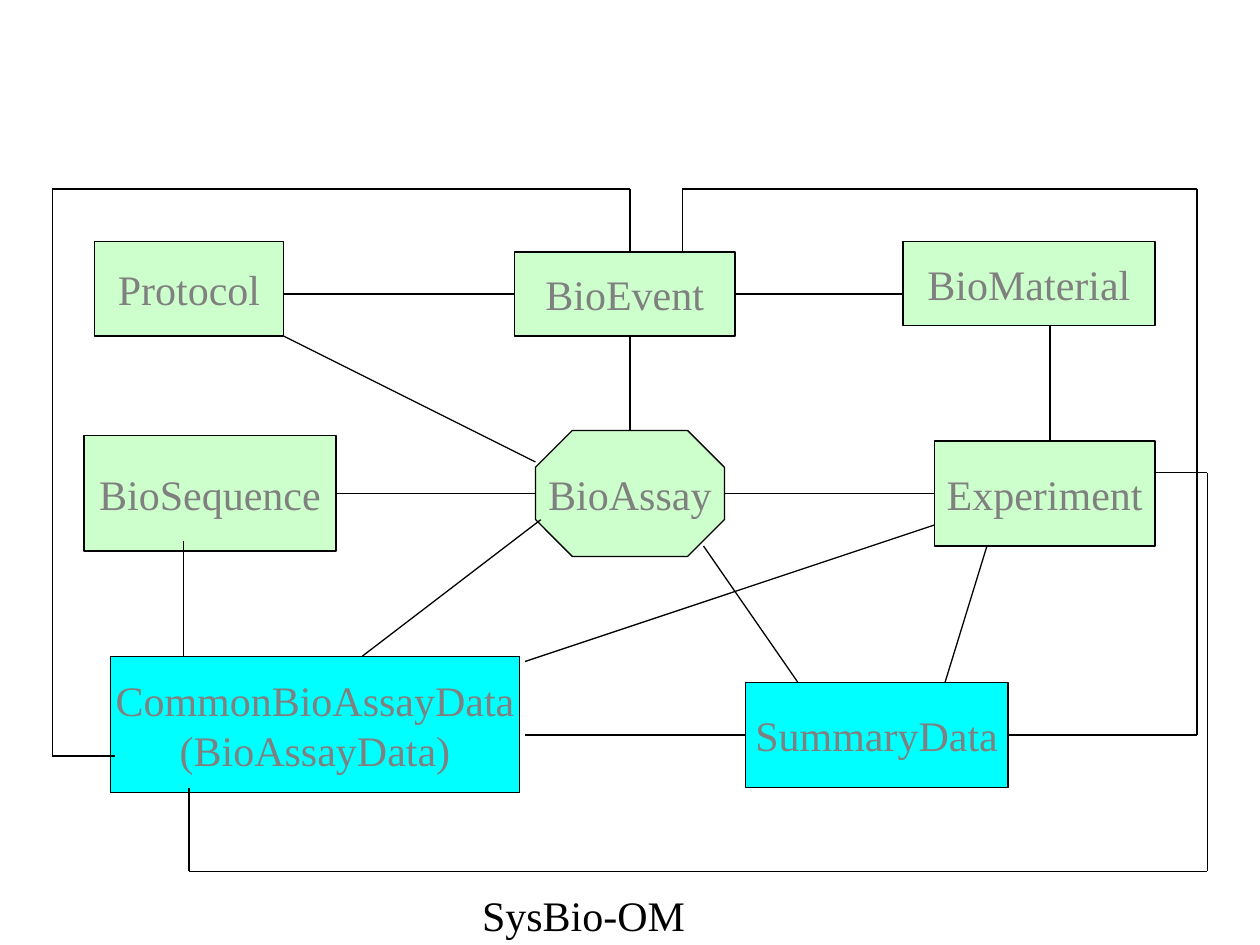
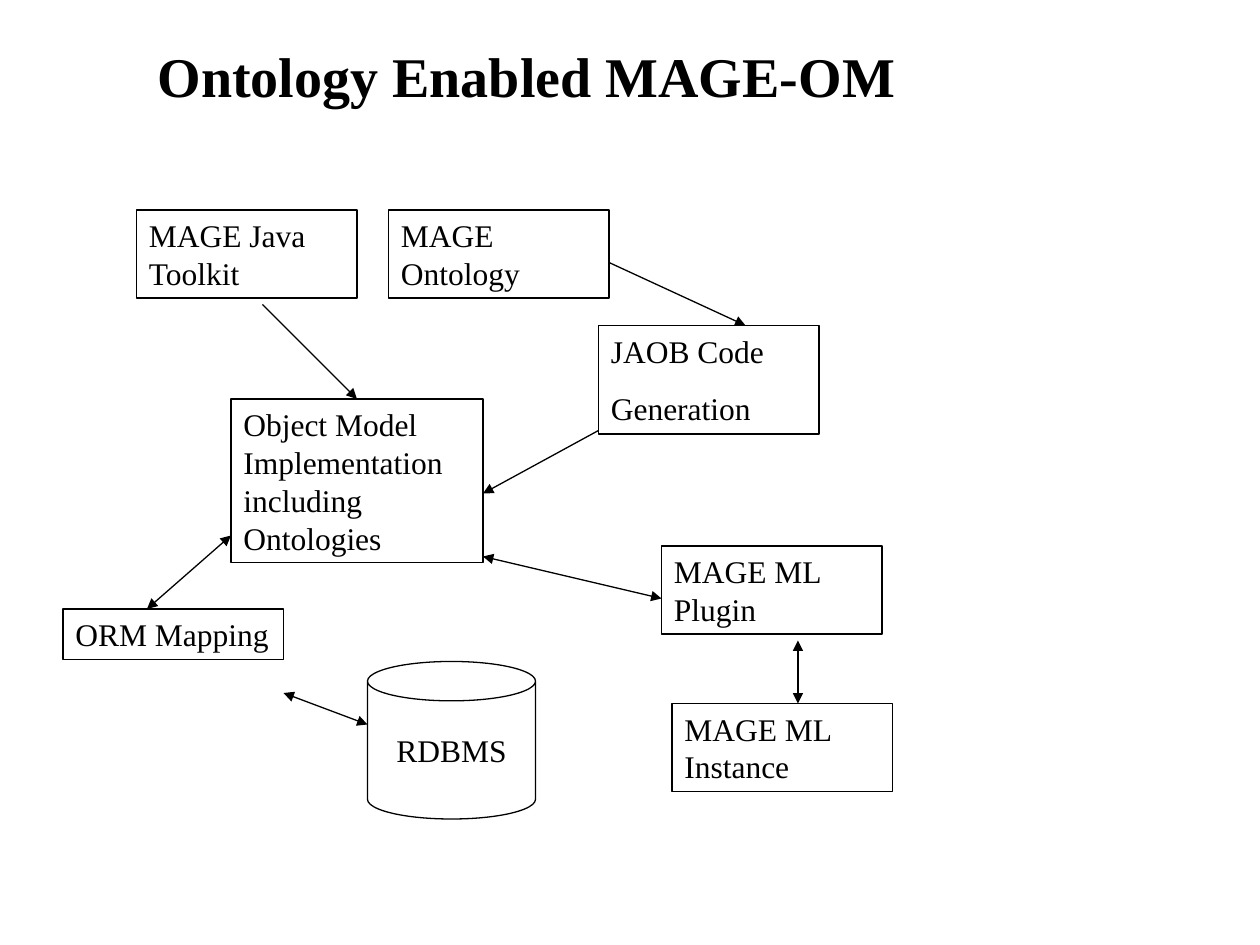
"""Build two slides of box-and-line diagrams about biology object models."""
from dataclasses import dataclass
from itertools import pairwise

import pptx
import pptx.dml.color
import pptx.enum.shapes
import pptx.enum.text
import pptx.oxml.ns
import pptx.presentation
import pptx.shapes.base
import pptx.slide
import pptx.util
from lxml import etree

Pt = pptx.util.Pt
Shape = pptx.enum.shapes.MSO_SHAPE
Align = pptx.enum.text.PP_ALIGN
Anchor = pptx.enum.text.MSO_ANCHOR

COLOURS = {"ink": "000000", "label": "808080", "core": "CCFFCC", "data": "00FFFF"}
FONT = "Times New Roman"
LINE_WIDTH = 0.75
FRAME = {
    "margin_left": Pt(7.2),
    "margin_right": Pt(7.2),
    "margin_top": Pt(3.6),
    "margin_bottom": Pt(3.6),
}
CENTRED = {"word_wrap": False, "vertical_anchor": Anchor.MIDDLE}
WRAPPED = {"word_wrap": True, "vertical_anchor": Anchor.TOP}
FITTED = {
    "word_wrap": False,
    "vertical_anchor": Anchor.TOP,
    "margin_left": Pt(0),
    "auto_size": pptx.enum.text.MSO_AUTO_SIZE.SHAPE_TO_FIT_TEXT,
}


@dataclass(frozen=True)
class TextStyle:
    size: float
    colour: str
    align: Align
    frame: dict
    bold: bool = False
    gap: float = 0


ENTITY_STYLE = TextStyle(24, "label", Align.CENTER, CENTRED)
CAPTION_STYLE = TextStyle(24, "ink", Align.CENTER, FITTED)
TITLE_STYLE = TextStyle(32, "ink", Align.CENTER,
                        {"word_wrap": True, "vertical_anchor": Anchor.BOTTOM}, bold=True)
STEP_STYLE = TextStyle(18, "ink", Align.LEFT, WRAPPED, gap=11.2)
STORE_STYLE = TextStyle(18, "ink", Align.CENTER, CENTRED)


@dataclass(frozen=True)
class Node:
    text: str
    left: float
    top: float
    width: float
    height: float
    style: TextStyle
    fill: str | None = None
    kind: Shape = Shape.RECTANGLE


@dataclass(frozen=True)
class Wire:
    points: tuple
    head: bool = False
    tail: bool = False


def entity(text: str, left: float, top: float, width: float, height: float,
           fill: str = "core", kind: Shape = Shape.RECTANGLE) -> Node:
    return Node(text, left, top, width, height, ENTITY_STYLE, fill, kind)


def step(text: str, left: float, top: float, width: float = 126, height: float = 50.4) -> Node:
    return Node(text, left, top, width, height, STEP_STYLE)


ENTITIES = [
    entity("BioAssay", 306, 246, 108, 72, kind=Shape.OCTAGON),
    entity("BioEvent", 294, 144, 126, 48),
    entity("Experiment", 534, 252, 126, 60),
    entity("BioSequence", 48, 249, 144, 66),
    entity("SummaryData", 426, 390, 150, 60, "data"),
    entity("BioMaterial", 516, 138, 144, 48),
    entity("Protocol", 54, 138, 108, 54),
    entity("CommonBioAssayData\n(BioAssayData)", 63, 375, 234, 78, "data"),
]
ASSOCIATIONS = [
    Wire(((66, 432), (30, 432), (30, 108), (360, 108), (360, 144))),
    Wire(((390, 144), (390, 108), (684, 108), (684, 420), (576, 420))),
    Wire(((108, 450), (108, 498), (690, 498), (690, 270), (660, 270))),
    Wire(((294, 168), (162, 168))),
    Wire(((420, 168), (516, 168))),
    Wire(((600, 186), (600, 252))),
    Wire(((105, 309), (105, 375))),
    Wire(((402, 312), (456, 390))),
    Wire(((306, 282), (192, 282))),
    Wire(((414, 282), (534, 282))),
    Wire(((534, 300), (300, 378))),
    Wire(((309, 297), (207, 375))),
    Wire(((564, 312), (540, 390))),
    Wire(((360, 192), (360, 246))),
    Wire(((162, 192), (306, 264))),
    Wire(((300, 420), (426, 420))),
]
CAPTION = Node("SysBio-OM", 272, 505, 130, 36, CAPTION_STYLE)

TITLE = Node("Ontology Enabled MAGE-OM", 42, 17.5, 518, 48, TITLE_STYLE)
STEPS = [
    step("MAGE Java Toolkit", 78, 120),
    step("MAGE Ontology", 222, 120),
    step("JAOB Code\nGeneration", 342, 186, height=62),
    step("Object Model Implementation including Ontologies", 132, 228, 144, 93.6),
    step("MAGE ML Plugin", 378, 312),
    step("MAGE ML Instance", 384, 402),
    step("ORM Mapping", 36, 348, height=28.8),
    Node("RDBMS", 210, 378, 96, 90, STORE_STYLE, kind=Shape.CAN),
]
FLOWS = [
    Wire(((150, 174), (204, 228)), tail=True),
    Wire(((348, 150), (426, 186)), tail=True),
    Wire(((342, 246), (276, 282)), tail=True),
    Wire(((276, 318), (378, 342)), head=True, tail=True),
    Wire(((456, 366), (456, 402)), head=True, tail=True),
    Wire(((84, 348), (132, 306)), head=True, tail=True),
    Wire(((162, 396), (210, 414)), head=True, tail=True),
]


def colour(name: str) -> pptx.dml.color.RGBColor:
    return pptx.dml.color.RGBColor.from_string(COLOURS[name])


def set_all(target: object, values: dict) -> None:
    for name, value in values.items():
        setattr(target, name, value)


def write_text(box: pptx.shapes.base.BaseShape, node: Node) -> None:
    style = node.style
    frame = box.text_frame
    set_all(frame, FRAME | style.frame)
    for index, line in enumerate(node.text.split("\n")):
        para = frame.add_paragraph() if index else frame.paragraphs[0]
        set_all(para, {"alignment": style.align, "space_before": Pt(style.gap if index else 0)})
        span = para.add_run()
        span.text = line
        set_all(span.font, {"name": FONT, "size": Pt(style.size), "bold": style.bold})
        span.font.color.rgb = colour(style.colour)


def draw_label(page: pptx.slide.Slide, node: Node) -> None:
    box = page.shapes.add_textbox(Pt(node.left), Pt(node.top), Pt(node.width), Pt(node.height))
    write_text(box, node)


def draw_node(page: pptx.slide.Slide, node: Node) -> None:
    box = page.shapes.add_shape(
        node.kind, Pt(node.left), Pt(node.top), Pt(node.width), Pt(node.height))
    box.shadow.inherit = False
    if node.fill:
        box.fill.solid()
        box.fill.fore_color.rgb = colour(node.fill)
    else:
        box.fill.background()
    box.line.color.rgb = colour("ink")
    box.line.width = Pt(LINE_WIDTH)
    write_text(box, node)


def draw_wire(page: pptx.slide.Slide, wire: Wire) -> None:
    qualify = pptx.oxml.ns.qn
    for start, end in pairwise(wire.points):
        link = page.shapes.add_connector(
            pptx.enum.shapes.MSO_CONNECTOR.STRAIGHT, *map(Pt, start + end))
        link.line.color.rgb = colour("ink")
        link.line.width = Pt(LINE_WIDTH)
        outline = link.line._get_or_add_ln()
        for tag, shown in (("a:headEnd", wire.head), ("a:tailEnd", wire.tail)):
            if shown:
                etree.SubElement(outline, qualify(tag), type="triangle")
        etree.SubElement(link._element.spPr, qualify("a:effectLst"))


def add_diagram(deck: pptx.presentation.Presentation, label: Node,
                nodes: list[Node], wires: list[Wire]) -> None:
    page = deck.slides.add_slide(deck.slide_layouts[6])
    draw_label(page, label)
    for node in nodes:
        draw_node(page, node)
    for wire in wires:
        draw_wire(page, wire)


def main() -> None:
    deck = pptx.Presentation()
    set_all(deck, {"slide_width": Pt(720), "slide_height": Pt(540)})
    add_diagram(deck, CAPTION, ENTITIES, ASSOCIATIONS)
    add_diagram(deck, TITLE, STEPS, FLOWS)
    deck.save("out.pptx")


if __name__ == "__main__":
    main()
